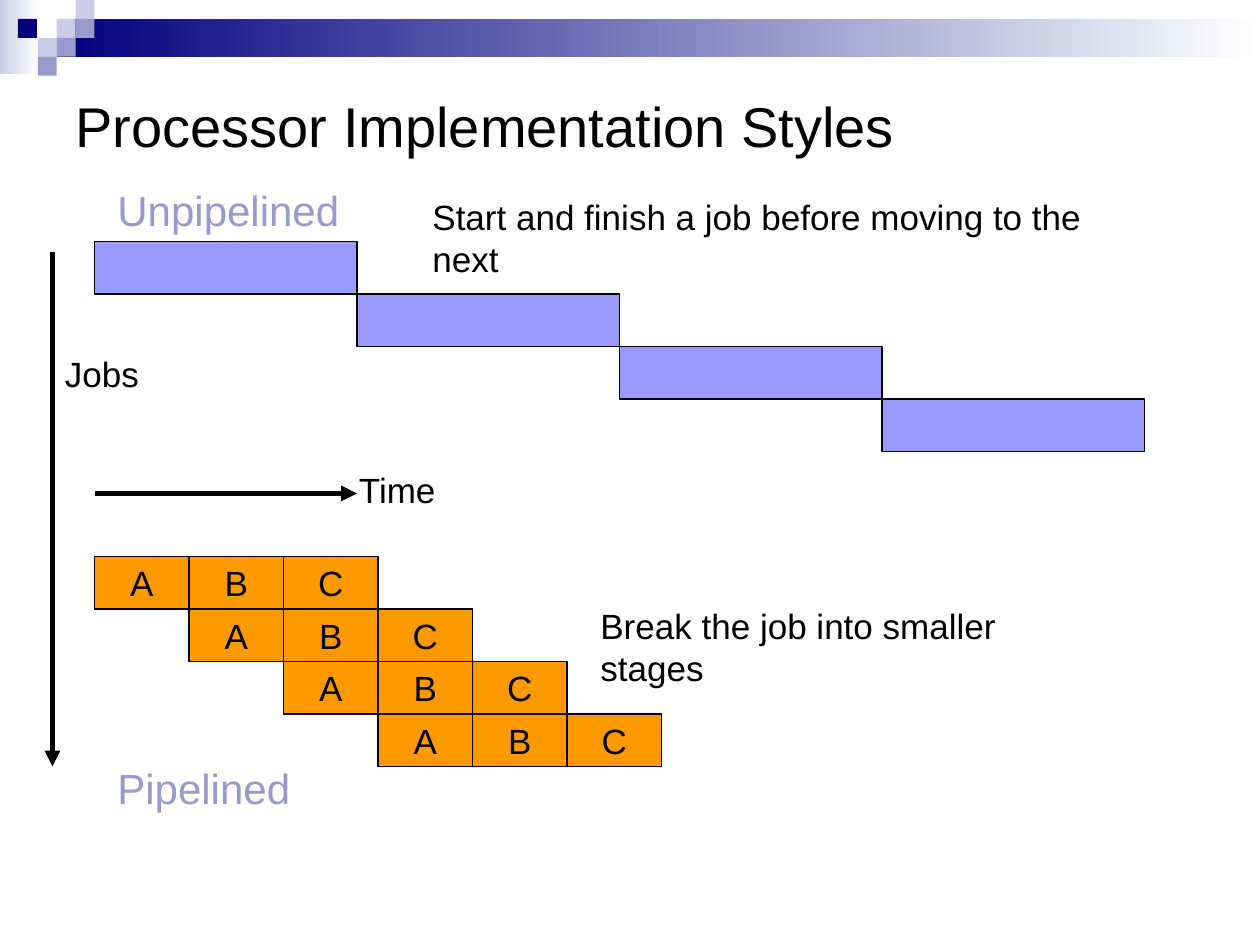
from dataclasses import dataclass

from lxml.etree import SubElement
from pptx import Presentation
from pptx.dml.color import RGBColor
from pptx.enum.shapes import MSO_CONNECTOR, MSO_SHAPE
from pptx.enum.text import MSO_ANCHOR, PP_ALIGN
from pptx.oxml.ns import qn
from pptx.util import Inches, Pt


@dataclass(frozen=True)
class Theme:
    font: str = "Arial"
    ink: str = "000000"
    paper: str = "FFFFFF"
    navy: str = "00007D"
    mid: str = "9999CC"
    pale: str = "CCCCE6"
    job: str = "9999FF"
    stage: str = "FF9900"
    title: int = 32
    head: int = 24
    body: int = 20
    thin: float = 0.75
    thick: float = 3


@dataclass(frozen=True)
class Box:
    """A region in grid units of a given size in inches."""
    x: float
    y: float
    w: float
    h: float
    unit: float = 1 / 12

    def area(self, x, y, w, h):
        return Box(self.x + x, self.y + y, w, h, self.unit)

    def emu(self):
        return [Inches(v * self.unit) for v in (self.x, self.y, self.w, self.h)]


THEME = Theme()
WIDE, HIGH = 10, 7.5
ROW = 5
PIXEL = 0.15


def rgb(code):
    return RGBColor.from_string(code)


def write(frame, text, size, color=THEME.ink, align=PP_ALIGN.LEFT, anchor=MSO_ANCHOR.TOP):
    frame.word_wrap = True
    frame.vertical_anchor = anchor
    para = frame.paragraphs[0]
    para.alignment = align
    run = para.add_run()
    run.text = text
    run.font.name = THEME.font
    run.font.size = Pt(size)
    run.font.color.rgb = rgb(color)


def label(slide, box, text, size=THEME.body, color=THEME.ink):
    write(slide.shapes.add_textbox(*box.emu()).text_frame, text, size, color)


def block(slide, box, color, fade=False, edge=False):
    shape = slide.shapes.add_shape(MSO_SHAPE.RECTANGLE, *box.emu())
    shape.shadow.inherit = False
    if fade:
        shape.fill.gradient()
        shape.fill.gradient_angle = 0
        for stop, tone in zip(shape.fill.gradient_stops, (color, THEME.paper)):
            stop.color.rgb = rgb(tone)
    else:
        shape.fill.solid()
        shape.fill.fore_color.rgb = rgb(color)
    if edge:
        shape.line.color.rgb = rgb(THEME.ink)
        shape.line.width = Pt(THEME.thin)
    else:
        shape.line.fill.background()
    return shape


def arrow(slide, box):
    """Draw an arrow from the top left to the bottom right of the box."""
    x, y, w, h = box.emu()
    shape = slide.shapes.add_connector(MSO_CONNECTOR.STRAIGHT, x, y, x + w, y + h)
    shape.line.color.rgb = rgb(THEME.ink)
    shape.line.width = Pt(THEME.thick)
    props = shape.element.spPr
    SubElement(props.find(qn("a:ln")), qn("a:tailEnd"), type="triangle")
    SubElement(props, qn("a:effectLst"))


def banner(slide, box):
    block(slide, box.area(0, 0, 2.05, 3.9), THEME.pale, fade=True)
    block(slide, box.area(3, 1, box.w - 3, 2), THEME.navy, fade=True)
    tiles = {
        THEME.pale: [(3, 1), (4, 0), (2, 2)],
        THEME.mid: [(4, 1), (3, 2), (2, 3)],
        THEME.navy: [(0.95, 1)],
    }
    for color, spots in tiles.items():
        for col, row in spots:
            block(slide, box.area(col, row, 1, 1), color)


def heading(slide, box, text):
    title = slide.shapes.title
    title.left, title.top, title.width, title.height = box.emu()
    write(title.text_frame, text, THEME.title, anchor=MSO_ANCHOR.BOTTOM)


def serial(slide, box, count=4):
    wide = box.w / count
    for job in range(count):
        block(slide, box.area(job * wide, job * ROW, wide, ROW), THEME.job, edge=True)
    label(slide, box.area(1, -6, 24, 6), "Unpipelined", THEME.head, THEME.mid)
    label(slide, box.area(31, -5, 70.5, 5), "Start and finish a job before moving to the next")


def staged(slide, box, count=4, stages="ABC"):
    wide = box.w / (count + len(stages) - 1)
    for job in range(count):
        for step, name in enumerate(stages, job):
            cell = block(slide, box.area(step * wide, job * ROW, wide, ROW),
                         THEME.stage, edge=True)
            write(cell.text_frame, name, THEME.body,
                  align=PP_ALIGN.CENTER, anchor=MSO_ANCHOR.MIDDLE)
    label(slide, box.area(47, 4, 50, 5), "Break the job into smaller stages")
    label(slide, box.area(1, 19, 19, 6), "Pipelined", THEME.head, THEME.mid)


def axes(slide, box):
    arrow(slide, box.area(0, 0, 0, box.h))
    label(slide, box.area(0, 9, 10, 5), "Jobs")
    arrow(slide, box.area(4, 23, box.w - 4, 0))
    label(slide, box.area(box.w - 1, 20, 10, 5), "Time")


def main():
    deck = Presentation()
    deck.slide_width, deck.slide_height = Inches(WIDE), Inches(HIGH)
    slide = deck.slides.add_slide(deck.slide_layouts[5])
    banner(slide, Box(0, 0, WIDE / PIXEL, 4, PIXEL))
    heading(slide, Box(6, 8, 81, 7.7), "Processor Implementation Styles")
    serial(slide, Box(9, 23, 100, 20))
    staged(slide, Box(9, 53, 54, 20))
    axes(slide, Box(5, 24, 29, 49))
    deck.save("out.pptx")


if __name__ == "__main__":
    main()
